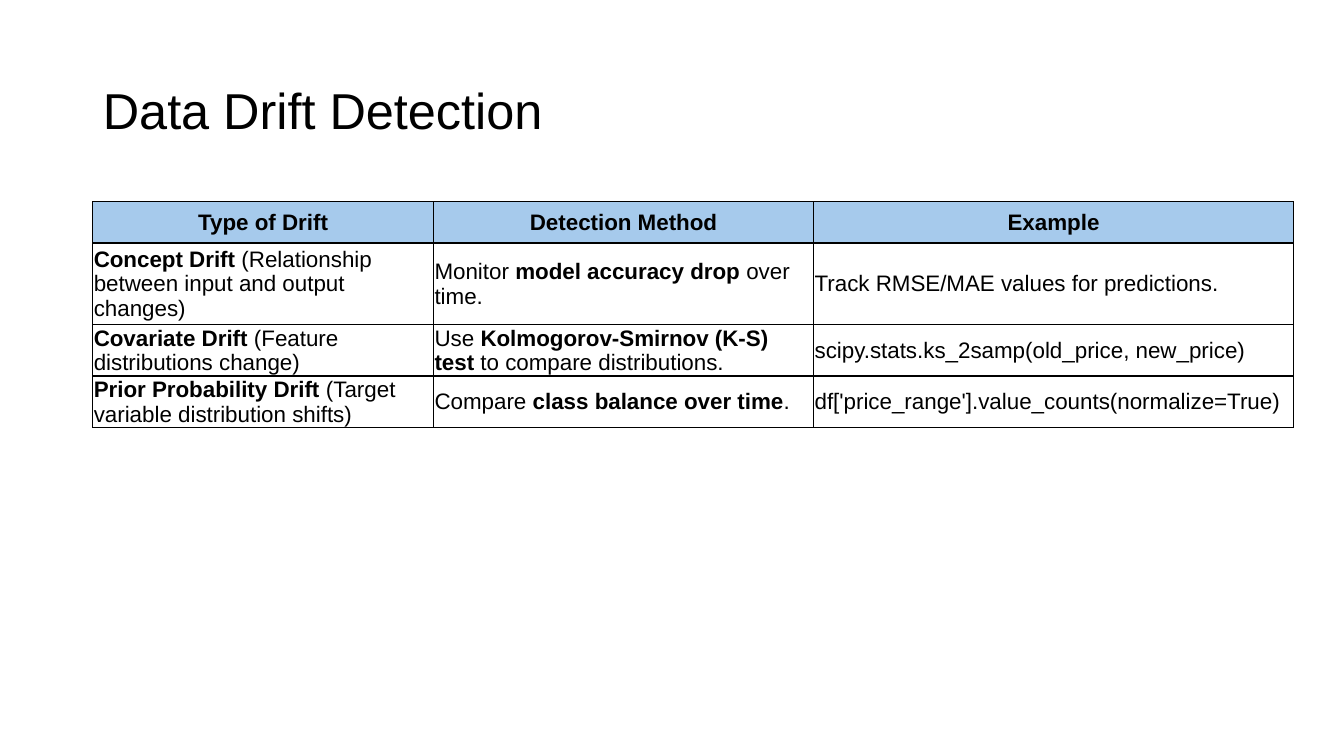
from lxml.etree import SubElement
from pptx import Presentation
from pptx.dml.color import RGBColor
from pptx.enum.text import MSO_ANCHOR, PP_ALIGN
from pptx.oxml.ns import qn
from pptx.util import Inches, Pt

BLACK = RGBColor(0x00, 0x00, 0x00)
BLUE = RGBColor(0xA6, 0xCA, 0xEC)
FONT = "Arial"
WIDE, HIGH = Inches(13.33), Inches(7.5)
LEFT = Inches(0.92)
COLS = [3.38, 3.77, 4.76]
ROWS = [0.41, 0.81, 0.51, 0.51]
MARK = "*"
DATA = [
    ["*Type of Drift*", "*Detection Method*", "*Example*"],
    ["*Concept Drift* (Relationship between input and output changes)",
     "Monitor *model accuracy drop* over time.",
     "Track RMSE/MAE values for predictions."],
    ["*Covariate Drift* (Feature distributions change)",
     "Use *Kolmogorov-Smirnov (K-S) test* to compare distributions.",
     "scipy.stats.ks_2samp(old_price, new_price)"],
    ["*Prior Probability Drift* (Target variable distribution shifts)",
     "Compare *class balance over time*.",
     "df['price_range'].value_counts(normalize=True)"],
]


def style(para, size, align):
    para.alignment = align
    para.font.name = FONT
    para.font.size = Pt(size)
    para.font.color.rgb = BLACK


def add_title(slide, text):
    title = slide.shapes.title
    title.left, title.top = LEFT, Inches(0.4)
    title.width, title.height = Inches(11.5), Inches(1.45)
    frame = title.text_frame
    frame.text = text
    frame.vertical_anchor = MSO_ANCHOR.MIDDLE
    para = frame.paragraphs[0]
    style(para, 36, PP_ALIGN.LEFT)
    para.line_spacing = 0.9


def add_edges(cell):
    props = cell._tc.get_or_add_tcPr()
    for side in "LRTB":
        line = SubElement(props, qn(f"a:ln{side}"), w=str(Pt(1)))
        fill = SubElement(line, qn("a:solidFill"))
        SubElement(fill, qn("a:srgbClr"), val=str(BLACK))


def fill_cell(cell, text, head):
    add_edges(cell)
    if head:
        cell.fill.solid()
        cell.fill.fore_color.rgb = BLUE
    else:
        cell.fill.background()
    cell.margin_left = cell.margin_right = cell.margin_top = Inches(0.01)
    cell.margin_bottom = 0
    cell.vertical_anchor = MSO_ANCHOR.MIDDLE
    para = cell.text_frame.paragraphs[0]
    style(para, 16, PP_ALIGN.CENTER if head else PP_ALIGN.LEFT)
    for i, part in enumerate(text.split(MARK)):
        if part:
            run = para.add_run()
            run.text = part
            run.font.bold = i % 2 == 1


def add_grid(slide, data):
    table = slide.shapes.add_table(
        len(ROWS), len(COLS), LEFT, Inches(2),
        Inches(sum(COLS)), Inches(sum(ROWS))).table
    table.horz_banding = False
    for col, width in zip(table.columns, COLS):
        col.width = Inches(width)
    for r, (row, height) in enumerate(zip(table.rows, ROWS)):
        row.height = Inches(height)
        for cell, text in zip(row.cells, data[r]):
            fill_cell(cell, text, r == 0)


def main():
    deck = Presentation()
    deck.slide_width, deck.slide_height = WIDE, HIGH
    slide = deck.slides.add_slide(deck.slide_layouts[5])
    add_title(slide, "Data Drift Detection")
    add_grid(slide, DATA)
    deck.save("out.pptx")


if __name__ == "__main__":
    main()
